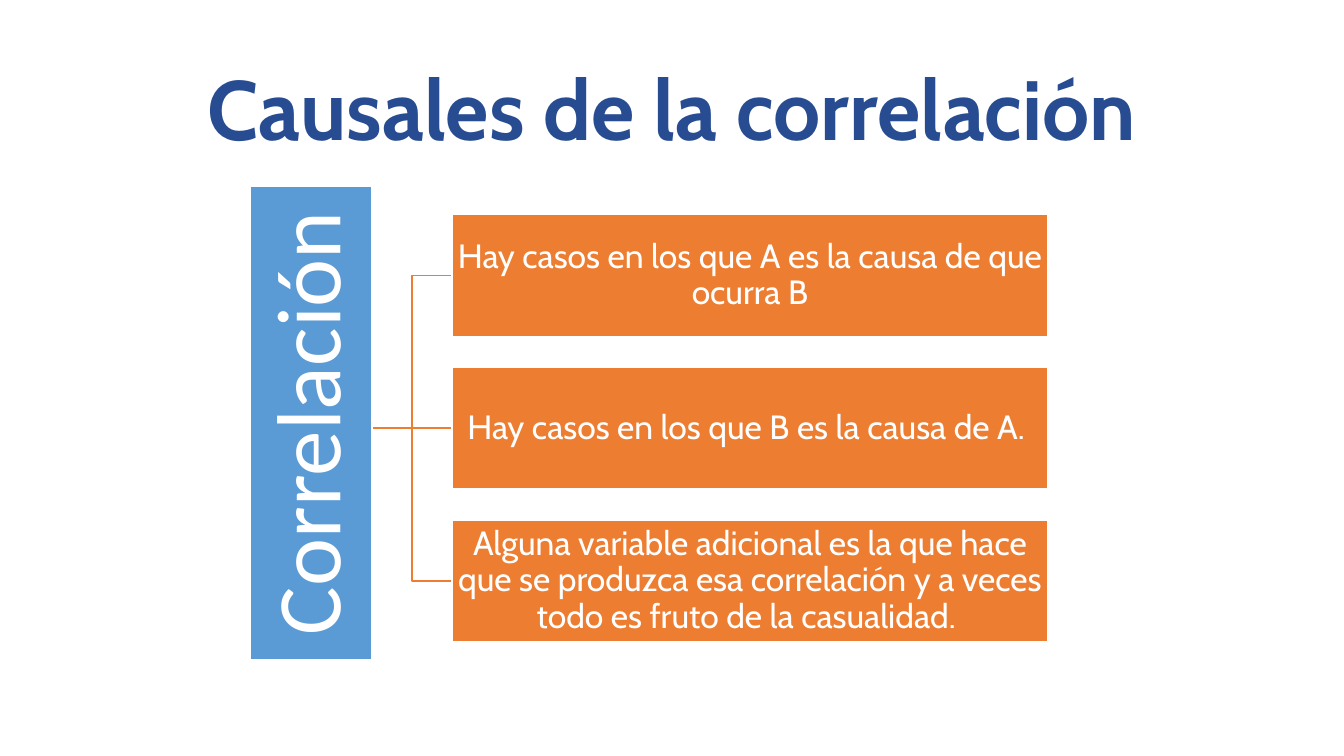
import pptx
import pptx.dml.color
import pptx.enum.shapes
import pptx.enum.text
import pptx.oxml.ns
import pptx.util

Pt = pptx.util.Pt
BLUE, ORANGE, NAVY, WHITE = "5B9BD5", "ED7D31", "284C91", "FFFFFF"
BOX_LEFT, BOX_TOP, BOX_WIDTH, BOX_HEIGHT, BOX_STEP = 322.8, 153.2, 425.8, 87.1, 109.1
BAR_RIGHT, BAR_LENGTH, BAR_MIDDLE = 265.7, 338.4, 302.2
CAUSES = [
    "Hay casos en los que A es la causa de que ocurra B",
    "Hay casos en los que B es la causa de A. ",
    "Alguna variable adicional es la que hace que se produzca esa correlación "
    "y a veces todo es fruto de la casualidad. ",
]


def color(value):
    """Turn a hex string into a colour."""
    return pptx.dml.color.RGBColor.from_string(value)


def apply_format(target, values):
    """Set each named attribute on the target."""
    for name, value in values.items():
        setattr(target, name, value)


def write_text(box, text, inset, font, ink):
    """Write one centred paragraph in the middle of a box."""
    frame = box.text_frame
    apply_format(frame, {
        "word_wrap": True,
        "vertical_anchor": pptx.enum.text.MSO_ANCHOR.MIDDLE,
        "margin_left": Pt(inset), "margin_right": Pt(inset),
        "margin_top": Pt(inset), "margin_bottom": Pt(inset),
    })
    para = frame.paragraphs[0]
    apply_format(para, {"alignment": pptx.enum.text.PP_ALIGN.CENTER, "line_spacing": 0.9})
    span = para.add_run()
    span.text = text
    apply_format(span.font, font)
    span.font.color.rgb = color(ink)


def add_title(page, text):
    """Add the page title."""
    box = page.shapes.add_textbox(Pt(66), Pt(28.8), Pt(828), Pt(104.4))
    write_text(box, text, 3.6, {"name": "Cabin", "size": Pt(60), "bold": True}, NAVY)


def add_block(page, frame, fill, text, inset, font, rotation=0):
    """Add a filled rectangle with white text."""
    shape_type = pptx.enum.shapes.MSO_SHAPE.RECTANGLE
    box = page.shapes.add_shape(shape_type, *map(Pt, frame))
    box.shadow.inherit = False
    box.rotation = rotation
    box.fill.solid()
    box.fill.fore_color.rgb = color(fill)
    box.line.color.rgb = color(WHITE)
    box.line.width = Pt(1)
    write_text(box, text, inset, font, WHITE)


def add_branch(page, kind, start, end):
    """Add a connector between two points."""
    branch = page.shapes.add_connector(kind, *map(Pt, start + end))
    branch.line.color.rgb = color(ORANGE)
    branch.line.width = Pt(1)
    branch._element.spPr.append(pptx.oxml.xmlchemy.OxmlElement("a:effectLst"))


def main():
    """Build the correlation slide."""
    deck = pptx.Presentation()
    apply_format(deck, {"slide_width": Pt(960), "slide_height": Pt(540)})
    page = deck.slides.add_slide(deck.slide_layouts[6])
    add_title(page, "Causales de la correlación")

    kinds = pptx.enum.shapes.MSO_CONNECTOR
    tops = [BOX_TOP + BOX_STEP * index for index in range(len(CAUSES))]
    centers = [top + BOX_HEIGHT / 2 for top in tops]
    root = centers[1]
    for center in centers:
        kind = kinds.STRAIGHT if center == root else kinds.ELBOW
        add_branch(page, kind, (BAR_RIGHT, root), (BOX_LEFT, center))

    bar_left = BAR_RIGHT - (BOX_HEIGHT + BAR_LENGTH) / 2
    bar_frame = (bar_left, BAR_MIDDLE - BOX_HEIGHT / 2, BAR_LENGTH, BOX_HEIGHT)
    add_block(page, bar_frame, BLUE, "Correlación", 3.6,
              {"name": "Calibri", "size": Pt(65)}, rotation=270)
    for top, cause in zip(tops, CAUSES):
        add_block(page, (BOX_LEFT, top, BOX_WIDTH, BOX_HEIGHT), ORANGE, cause, 0.7,
                  {"name": "Cabin", "size": Pt(24)})
    deck.save("out.pptx")


if __name__ == "__main__":
    main()
